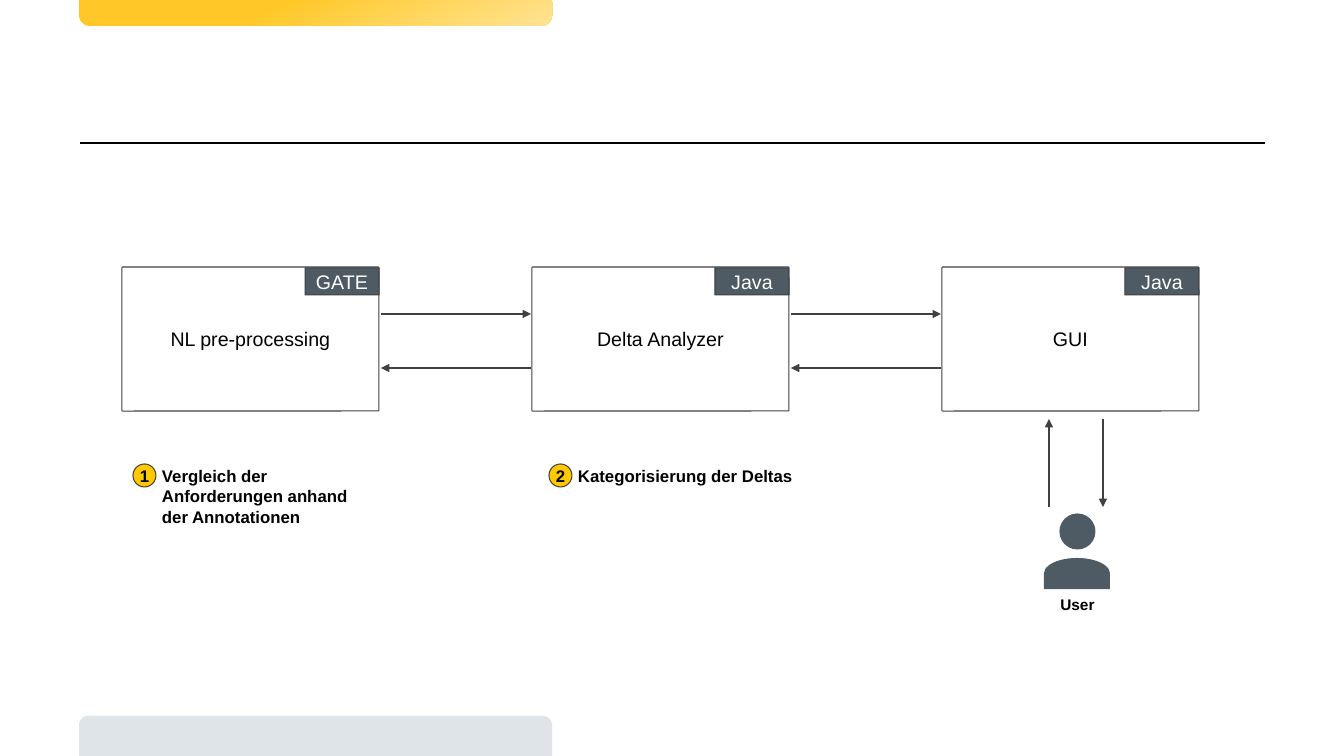
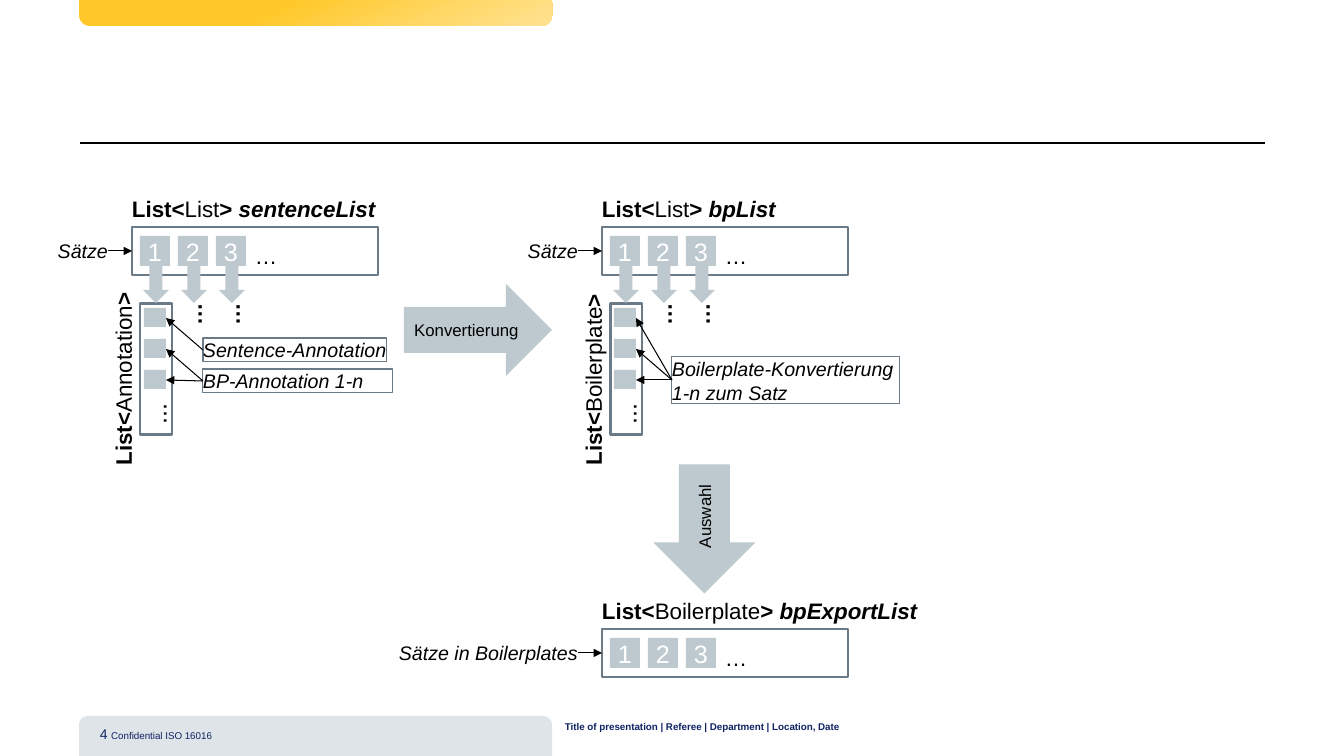
from pptx import Presentation
from pptx.dml.color import RGBColor
from pptx.enum.shapes import MSO_CONNECTOR, MSO_SHAPE
from pptx.enum.text import MSO_ANCHOR, PP_ALIGN
from pptx.oxml.ns import qn
from pptx.util import Pt
from lxml.etree import SubElement

EMU_PER_PIXEL = 914400 / 100.8
FONT = "Arial"
BLACK = RGBColor(0x00, 0x00, 0x00)
WHITE = RGBColor(0xFF, 0xFF, 0xFF)
CHARCOAL = RGBColor(0x40, 0x40, 0x40)
SLATE = RGBColor(0x4F, 0x5B, 0x64)
STEEL = RGBColor(0x6A, 0x7A, 0x86)
MIST = RGBColor(0xBD, 0xC9, 0xCF)
PALE_GREY = RGBColor(0xDE, 0xE4, 0xE7)
YELLOW = RGBColor(0xFF, 0xC8, 0x00)
BAND_START = RGBColor(0xFF, 0xC8, 0x28)
BAND_END = RGBColor(0xFF, 0xE3, 0x93)
NAVY = RGBColor(0x0F, 0x23, 0x64)
LEFT, CENTER, RIGHT = PP_ALIGN.LEFT, PP_ALIGN.CENTER, PP_ALIGN.RIGHT


def add_box(page, kind, frame, fill=None, line=None, weight=0.75, spans=(), size=14,
            color=BLACK, align=CENTER, wrap=False, turn=0, indent=0):
    """Add a preset shape, or a text box when kind is None; spans are (text, style letters)."""
    place = [round(value * EMU_PER_PIXEL) for value in frame]
    if kind is None:
        box = page.shapes.add_textbox(*place)
    else:
        box = page.shapes.add_shape(kind, *place)
        box.shadow.inherit = False
    box.rotation = turn
    if fill is None:
        box.fill.background()
    else:
        box.fill.solid()
        box.fill.fore_color.rgb = fill
    if line is None:
        box.line.fill.background()
    else:
        box.line.color.rgb = line
        box.line.width = Pt(weight)
    if spans:
        text = box.text_frame
        text.word_wrap = wrap
        text.margin_left = round(indent * EMU_PER_PIXEL)
        text.margin_right = text.margin_top = text.margin_bottom = 0
        text.vertical_anchor = MSO_ANCHOR.TOP if kind is None else MSO_ANCHOR.MIDDLE
        para = text.paragraphs[0]
        para.alignment = align
        para.font.name = FONT
        para.font.size = Pt(size)
        para.font.color.rgb = color
        for words, style in spans:
            span = para.add_run()
            span.text = words
            span.font.bold = "b" in style
            span.font.italic = "i" in style
    return box


def add_line(page, start, end, color=BLACK, weight=0.75, arrow=True):
    points = [round(value * EMU_PER_PIXEL) for value in (*start, *end)]
    connector = page.shapes.add_connector(MSO_CONNECTOR.STRAIGHT, *points)
    connector.line.color.rgb = color
    connector.line.width = Pt(weight)
    if arrow:
        SubElement(connector.line._get_or_add_ln(), qn("a:tailEnd"), type="triangle")
    SubElement(connector._element.spPr, qn("a:effectLst"))


deck = Presentation()
deck.slide_width = round(1344 * EMU_PER_PIXEL)
deck.slide_height = round(756 * EMU_PER_PIXEL)
architecture, conversion = [deck.slides.add_slide(deck.slide_layouts[6]) for _ in range(2)]

# Bands and title rule on both slides
for page in (architecture, conversion):
    band = add_box(page, MSO_SHAPE.ROUND_2_SAME_RECTANGLE, (79, 0, 473, 26))
    band.adjustments[0], band.adjustments[1] = 0, 0.42
    band.fill.gradient()
    band.fill.gradient_angle = 295
    stops = zip(band.fill.gradient_stops, (0.4, 1), (BAND_START, BAND_END))
    for stop, position, color in stops:
        stop.position = position
        stop.color.rgb = color
    footer_band = add_box(page, MSO_SHAPE.ROUND_2_SAME_RECTANGLE, (79, 716, 473, 40), PALE_GREY)
    footer_band.adjustments[0] = 0.21
    add_line(page, (80, 143), (1265, 143), weight=1, arrow=False)

# Slide 1: components with their technology tags
component_lefts = [122 + 410 * index for index in range(3)]
components = (("NL pre-processing", "GATE"), ("Delta Analyzer", "Java"), ("GUI", "Java"))
for left, (name, technology) in zip(component_lefts, components):
    parts = (
        ((left, 267, 257, 144), None, name, BLACK),
        ((left + 183, 268, 74, 27), SLATE, technology, WHITE),
    )
    for frame, fill, words, color in parts:
        part = add_box(architecture, MSO_SHAPE.ROUNDED_RECTANGLE, frame, fill, CHARCOAL,
                       spans=[(words, "")], color=color)
        part.adjustments[0] = 0.005

# Arrows between components, and between the GUI and the user
exchanges = [((1049, 507), (1049, 419)), ((1103, 419), (1103, 507))]
for left in component_lefts[:2]:
    exchanges.append(((left + 259, 314), (left + 409, 314)))
    exchanges.append(((left + 409, 368), (left + 259, 368)))
for start, end in exchanges:
    add_line(architecture, start, end, CHARCOAL, 1)

# User symbol
add_box(architecture, MSO_SHAPE.FLOWCHART_DELAY, (1062, 541, 30, 65), SLATE, SLATE, turn=270)
add_box(architecture, MSO_SHAPE.OVAL, (1060, 514, 35, 35), SLATE, SLATE)
add_box(architecture, None, (1045, 595, 65, 23), spans=[("User", "b")], size=11)

# Numbered steps
steps = (
    ("1", 133, 199, "Vergleich der Anforderungen anhand der Annotationen"),
    ("2", 549, 227, "Kategorisierung der Deltas"),
)
for number, left, width, words in steps:
    add_box(architecture, MSO_SHAPE.OVAL, (left, 464, 23, 23), YELLOW, CHARCOAL,
            spans=[(number, "b")], size=12)
    add_box(architecture, None, (left + 29, 466, width, 23), spans=[(words, "b")], size=12,
            align=LEFT, wrap=True)

# Slide 2: footer
add_box(conversion, None, (565, 721, 621, 30), size=7, color=NAVY, align=LEFT, wrap=True,
        spans=[("Title of presentation | Referee | Department | Location, Date", "b")])
page_mark = add_box(conversion, None, (100, 726, 292, 30), color=NAVY, align=LEFT, wrap=True,
                    spans=[("4", ""), (" ", ""), ("Confidential ISO 16016", "")])
for span, size in zip(page_mark.text_frame.paragraphs[0].runs, (10, 9, 7)):
    span.font.size = Pt(size)

# Horizontal lists
LIST_LEFT, BOILERPLATE_LEFT = 132, 602
TILE_STEP = 38
lists = (
    (LIST_LEFT, 227, "List", "sentenceList", 260, "Sätze", 70),
    (BOILERPLATE_LEFT, 227, "List", "bpList", 190, "Sätze", 70),
    (BOILERPLATE_LEFT, 629, "Boilerplate", "bpExportList", 330, "Sätze in Boilerplates", 200),
)
for left, top, element, name, title_width, label, label_width in lists:
    add_box(conversion, MSO_SHAPE.RECTANGLE, (left, top, 246, 48), line=STEEL, weight=1.5)
    add_box(conversion, None, (left, top - 32, title_width, 27), size=16, align=LEFT, wrap=True,
            spans=[("List<", "b"), (element, ""), ("> ", "b"), (name, "bi")])
    for index in range(3):
        add_box(conversion, MSO_SHAPE.RECTANGLE,
                (left + 8 + TILE_STEP * index, top + 9, 30, 30), MIST,
                spans=[(str(index + 1), "")], size=18, color=WHITE)
    add_box(conversion, None, (left + 123, top + 15, 22, 27), spans=[("…", "")], size=16,
            align=LEFT)
    add_line(conversion, (left - 24, top + 24), (left, top + 24))
    add_box(conversion, None, (left - 24 - label_width, top + 12, label_width, 24),
            spans=[(label, "i")], align=RIGHT, wrap=True)

# Vertical lists below the first two
CELL_STEP = 31
for left, element in ((LIST_LEFT, "Annotation"), (BOILERPLATE_LEFT, "Boilerplate")):
    add_box(conversion, MSO_SHAPE.RECTANGLE, (left - 41, 353, 131, 32), line=STEEL, weight=1.5,
            spans=[("...", "")], size=18, align=LEFT, turn=270, indent=10)
    add_box(conversion, None, (left - 96, 365, 174, 27), size=16, align=LEFT, turn=270,
            spans=[("List<", "b"), (element, ""), (">", "b")])
    for index in range(3):
        tile_shift = TILE_STEP * index
        add_box(conversion, MSO_SHAPE.DOWN_ARROW, (left + 11 + tile_shift, 264, 26, 39), MIST)
        add_box(conversion, MSO_SHAPE.RECTANGLE,
                (left + 12, 308 + CELL_STEP * index, 22, 19), MIST)
        if index:
            add_box(conversion, None, (left + 12 + tile_shift, 301, 22, 27),
                    spans=[("…", "b")], size=16, align=LEFT, turn=270)

# Explanations pointing at the cells
explanations = (
    ("Sentence-Annotation", (203, 338, 184, 24), LIST_LEFT, (0,)),
    ("BP-Annotation 1-n", (203, 369, 190, 24), LIST_LEFT, (1, 2)),
    ("Boilerplate-Konvertierung 1-n zum Satz", (672, 357, 228, 47), BOILERPLATE_LEFT, (0, 1, 2)),
)
for words, frame, list_left, cells in explanations:
    add_box(conversion, MSO_SHAPE.RECTANGLE, frame, line=STEEL, spans=[(words, "i")],
            align=LEFT, wrap=True)
    left, top, _, height = frame
    for cell in cells:
        add_line(conversion, (left, top + height // 2), (list_left + 34, 318 + CELL_STEP * cell))

# Process arrows
add_box(conversion, MSO_SHAPE.RIGHT_ARROW, (404, 284, 148, 92), MIST,
        spans=[("Konvertierung", "")], size=12)
add_box(conversion, MSO_SHAPE.LEFT_ARROW, (640, 478, 129, 102), MIST,
        spans=[("Auswahl", "")], size=12, turn=270)

deck.save("out.pptx")
